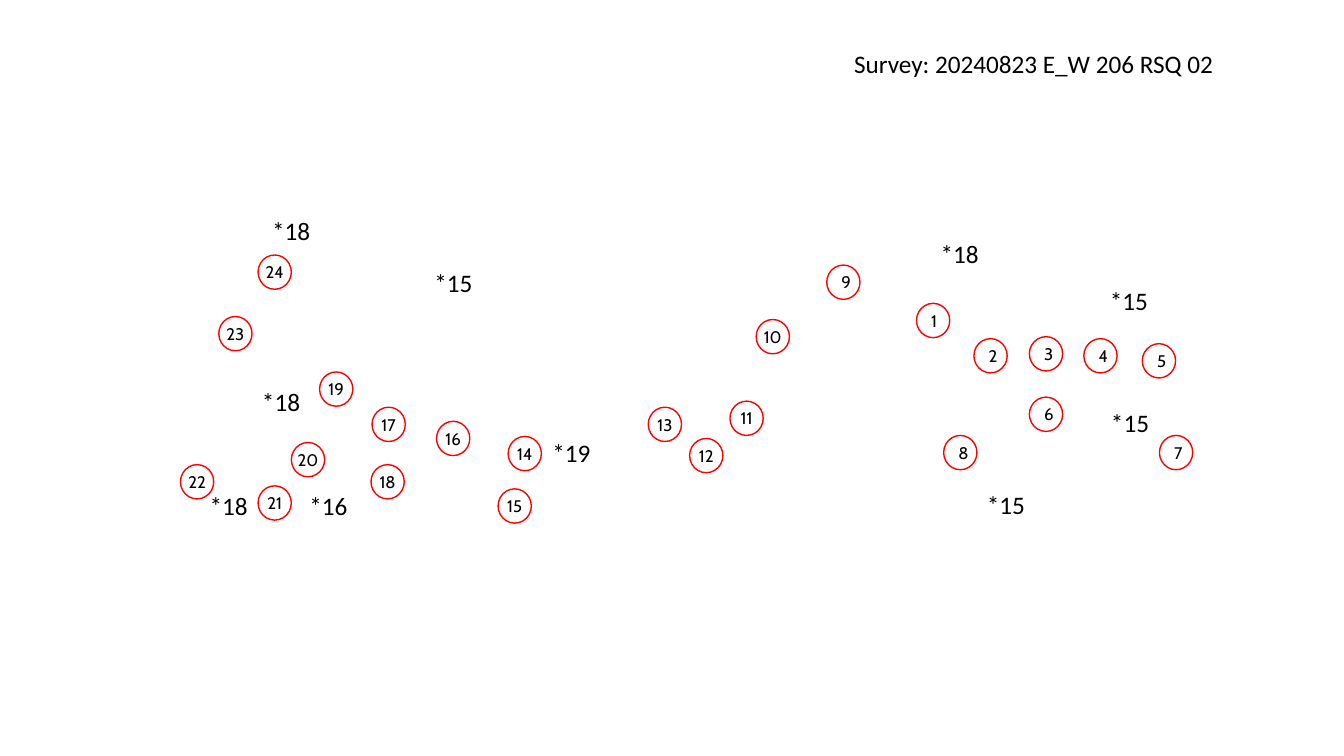
from dataclasses import dataclass

from pptx import Presentation
from pptx import util as u
from pptx.dml.color import RGBColor
from pptx.enum import shapes, text

PX = 9144  # EMU per px, 100 px to the inch


@dataclass(frozen=True)
class Theme:
    ring: RGBColor = RGBColor(0xFF, 0, 0)
    ink: RGBColor = RGBColor(0, 0, 0)
    station_font: str = "Cabin"
    note_font: str = "Calibri"
    station_size: int = 12
    note_size: int = 18
    ring_width: int = 1


THEME = Theme()
SLIDE_SIZE = (1333, 750)
STATION_SIZE = (33, 34)
NOTE_SIZE = (58, 40)

SURVEY = "Survey: 20240823 E_W 206 RSQ 02"
SURVEY_BOX = (837, 43, 380, 40)

# Left and top of stations 1, 2, 3 ...
STATIONS = [
    (909, 301), (966, 336), (1021, 334), (1075, 336), (1133, 341), (1021, 394),
    (1150, 432), (936, 432), (820, 263), (750, 317), (724, 398), (684, 435),
    (643, 404), (504, 433), (494, 485), (433, 418), (369, 404), (368, 461),
    (317, 369), (289, 439), (256, 482), (179, 461), (217, 314), (256, 253),
]

NOTES = [
    ("*18", 923, 232), ("*15", 1091, 278), ("*15", 421, 260), ("*16", 297, 482),
    ("*18", 250, 378), ("*18", 260, 209), ("*19", 538, 429), ("*15", 969, 481),
    ("*15", 1092, 399), ("*18", 198, 482),
]


def emu(*lengths):
    return [u.Emu(length * PX) for length in lengths]


def apply(target, values):
    for name, value in values.items():
        setattr(target, name, value)


def write(shape, words, font, size, align, frame_format):
    frame = shape.text_frame
    frame.text = words
    apply(frame, frame_format)
    paragraph = frame.paragraphs[0]
    paragraph.alignment = align
    apply(paragraph.runs[0].font, {"name": font, "size": u.Pt(size)})
    paragraph.runs[0].font.color.rgb = THEME.ink


def write_note(shape, words):
    write(shape, words, THEME.note_font, THEME.note_size, text.PP_ALIGN.LEFT, {
        "word_wrap": False,
        "auto_size": text.MSO_AUTO_SIZE.SHAPE_TO_FIT_TEXT,
        "vertical_anchor": text.MSO_ANCHOR.TOP,
    })


def add_survey_title(slide):
    title = slide.shapes.title
    apply(title, dict(zip(("left", "top", "width", "height"), emu(*SURVEY_BOX))))
    write_note(title, SURVEY)
    title.text_frame.paragraphs[0].line_spacing = 1.0


def add_note(slide, words, left, top):
    write_note(slide.shapes.add_textbox(*emu(left, top, *NOTE_SIZE)), words)


def add_station(slide, number, left, top):
    """Ringed number; two-digit numbers drop the side margins to fit."""
    ring = slide.shapes.add_shape(
        shapes.MSO_SHAPE.OVAL, *emu(left, top, *STATION_SIZE))
    ring.shadow.inherit = False
    ring.fill.background()
    ring.line.color.rgb = THEME.ring
    ring.line.width = u.Pt(THEME.ring_width)
    frame_format = {"vertical_anchor": text.MSO_ANCHOR.MIDDLE}
    if number > 9:
        frame_format.update(margin_left=0, margin_right=0)
    write(ring, str(number), THEME.station_font, THEME.station_size,
          text.PP_ALIGN.CENTER, frame_format)


def main():
    deck = Presentation()
    deck.slide_width, deck.slide_height = emu(*SLIDE_SIZE)
    slide = deck.slides.add_slide(deck.slide_layouts.get_by_name("Title Only"))
    add_survey_title(slide)
    for number, (left, top) in enumerate(STATIONS, start=1):
        add_station(slide, number, left, top)
    for note in NOTES:
        add_note(slide, *note)
    deck.save("out.pptx")


if __name__ == "__main__":
    main()
